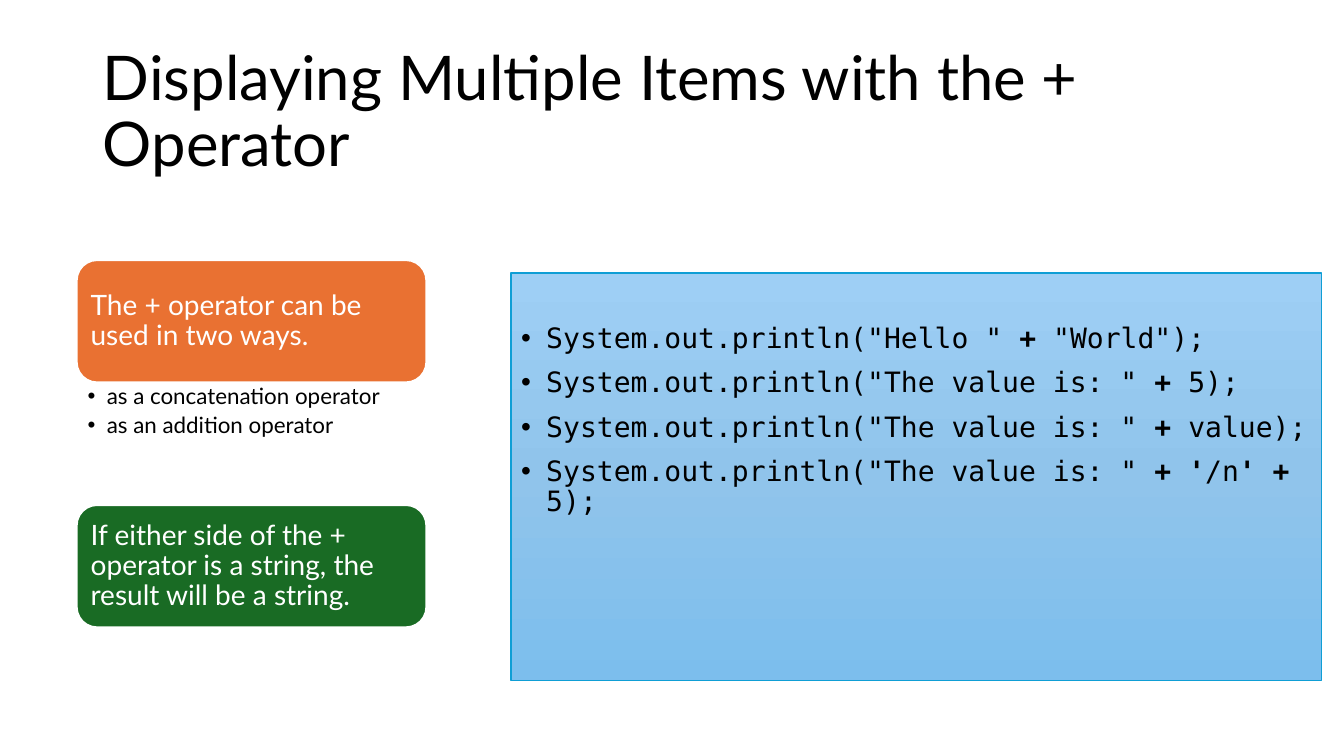
from copy import deepcopy

from lxml import etree
from pptx import Presentation
from pptx import util as u
from pptx.dml.color import RGBColor
from pptx.enum import shapes, text
from pptx.oxml import ns

WIDTH, HEIGHT = u.Inches(13.33), u.Inches(7.5)
COLUMN, ROW = WIDTH / 100, HEIGHT / 100

BLACK = RGBColor(0x00, 0x00, 0x00)
WHITE = RGBColor(0xFF, 0xFF, 0xFF)
ORANGE = RGBColor(0xE9, 0x71, 0x32)
GREEN = RGBColor(0x19, 0x6B, 0x24)
EDGE_BLUE = RGBColor(0x0F, 0x9E, 0xD5)
SKY = [RGBColor(0x9E, 0xCF, 0xF5), RGBColor(0x90, 0xC4, 0xEB), RGBColor(0x7C, 0xBE, 0xED)]

SANS, MONO = "Lato", "DejaVu Sans Mono"
PRINT = "System.out.println("

CARDS = [
    ("The + operator can be used in two ways.", ORANGE,
     ["as a concatenation operator", "as an addition operator"]),
    ("If either side of the + operator is a string, the result will be a string.", GREEN, []),
]
CODE = [
    [(PRINT + '"Hello " ', False), ("+", True), (' "World");', False)],
    [(PRINT + '"The value is: " ', False), ("+", True), (" 5);", False)],
    [(PRINT + '"The value is: " ', False), ("+", True), (" value);", False)],
    [(PRINT + '"The value is: " ', False), ("+ '", True), ("/n", False),
     ("' +", True), (" 5);", False)],
]


def on_grid(left, top, width, height):
    return [round(n) for n in (left * COLUMN, top * ROW, width * COLUMN, height * ROW)]


def set_frame(box, insets, anchor=text.MSO_ANCHOR.TOP):
    frame = box.text_frame
    frame.word_wrap = True
    frame.auto_size = text.MSO_AUTO_SIZE.NONE
    frame.vertical_anchor = anchor
    (frame.margin_left, frame.margin_top,
     frame.margin_right, frame.margin_bottom) = [u.Inches(n) for n in insets]
    return frame


def write_para(frame, spans, size, font=SANS, color=BLACK, before=0, after=0, indent=0):
    para = frame.paragraphs[0]
    if para.runs:
        para = frame.add_paragraph()
        para.space_before = u.Pt(before)
    else:
        para.space_before = u.Pt(0)
    para.alignment = text.PP_ALIGN.LEFT
    para.line_spacing = 0.9
    para.space_after = u.Pt(after)
    for words, bold in spans:
        span = para.add_run()
        span.text = words
        span.font.name = font
        span.font.size = u.Pt(size)
        span.font.bold = bold
        span.font.color.rgb = color
    if indent:
        props = para._p.get_or_add_pPr()
        props.set("marL", str(u.Inches(indent)))
        props.set("indent", str(-u.Inches(indent)))
        etree.SubElement(props, ns.qn("a:buFont")).set("typeface", "Arial")
        etree.SubElement(props, ns.qn("a:buChar")).set("char", "•")


def add_block(page, kind, area, line_color, line_width):
    box = page.shapes.add_shape(kind, *area)
    box.shadow.inherit = False
    box.line.color.rgb = line_color
    box.line.width = u.Pt(line_width)
    return box


def fill_gradient(box, colors):
    box.fill.gradient()
    box.fill.gradient_angle = 270
    stop_list = box.element.find(".//" + ns.qn("a:gsLst"))
    stop_list.insert(1, deepcopy(stop_list[0]))
    for index, (stop, color) in enumerate(zip(box.fill.gradient_stops, colors)):
        stop.color.rgb = color
        stop.position = index / (len(colors) - 1)


def add_title(page, words, area):
    title = page.shapes.title
    title.left, title.top, title.width, title.height = area
    frame = set_frame(title, (0.1, 0.05, 0.1, 0.05), text.MSO_ANCHOR.MIDDLE)
    write_para(frame, [(words, False)], 44)


def add_card(page, area, heading, color, points):
    left, top, width, height = area
    card = add_block(page, shapes.MSO_SHAPE.ROUNDED_RECTANGLE, area, WHITE, 1.5)
    card.fill.solid()
    card.fill.fore_color.rgb = color
    frame = set_frame(card, [0.08] * 4, text.MSO_ANCHOR.MIDDLE)
    write_para(frame, [(heading, False)], 20, color=WHITE)
    if points:
        box = page.shapes.add_textbox(left, top + height, width, height)
        frame = set_frame(box, (0.11, 0.03, 0.16, 0.03))
        for point in points:
            write_para(frame, [(point, False)], 16, after=3.2, indent=0.19)


def add_cards(page, area):
    left, top, width, height = area
    card_height = round(height / 3)
    for index, card in enumerate(CARDS):
        add_card(page, (left, top + 2 * index * card_height, width, card_height), *card)


def add_code(page, area):
    panel = add_block(page, shapes.MSO_SHAPE.RECTANGLE, area, EDGE_BLUE, 1)
    fill_gradient(panel, SKY)
    frame = set_frame(panel, (0.1, 0.51, 0.1, 0.05))
    for spans in CODE:
        write_para(frame, spans, 20, font=MONO, before=10, indent=0.25)


def main():
    deck = Presentation()
    deck.slide_width, deck.slide_height = WIDTH, HEIGHT
    page = deck.slides.add_slide(deck.slide_layouts[5])
    add_title(page, "Displaying Multiple Items with the + Operator",
              on_grid(6.9, 5.33, 86.27, 19.33))
    add_cards(page, on_grid(5.7, 34.4, 26.03, 48.6))
    add_code(page, on_grid(38.03, 36.13, 60.32, 53.87))
    deck.save("out.pptx")


if __name__ == "__main__":
    main()
